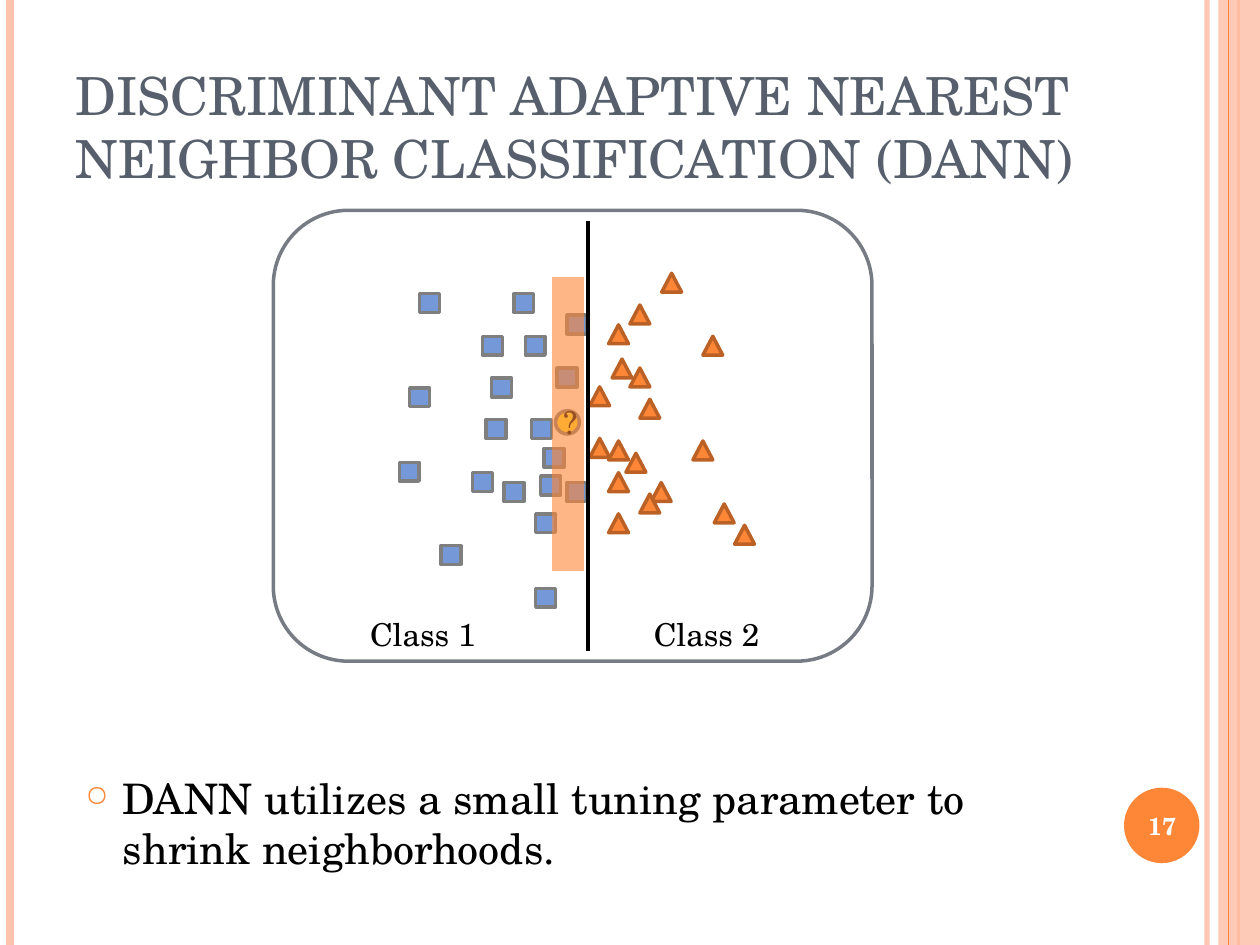
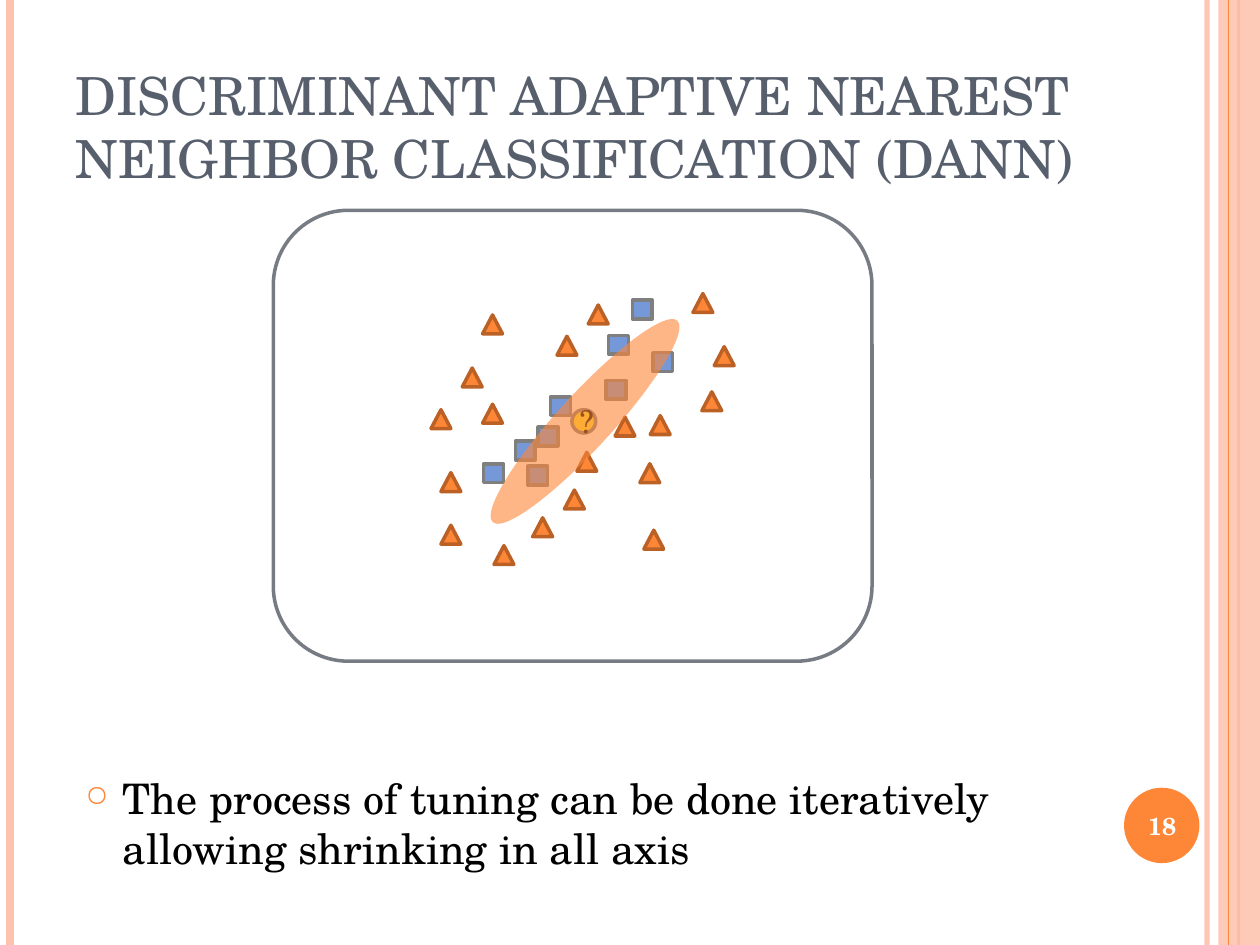
"""Builds two slides on discriminant adaptive nearest neighbor classification."""
from lxml import etree
from pptx import Presentation
from pptx.dml.color import RGBColor
from pptx.enum.shapes import MSO_CONNECTOR, MSO_SHAPE
from pptx.enum.text import MSO_ANCHOR, MSO_AUTO_SIZE, PP_ALIGN
from pptx.oxml.ns import qn
from pptx.util import Cm, Pt

STRAIGHT = MSO_CONNECTOR.STRAIGHT
RECTANGLE, ROUNDED = MSO_SHAPE.RECTANGLE, MSO_SHAPE.ROUNDED_RECTANGLE
ELLIPSE, TRIANGLE = MSO_SHAPE.OVAL, MSO_SHAPE.ISOSCELES_TRIANGLE
TOP, MIDDLE, BOTTOM = MSO_ANCHOR.TOP, MSO_ANCHOR.MIDDLE, MSO_ANCHOR.BOTTOM
LEFT, CENTER = PP_ALIGN.LEFT, PP_ALIGN.CENTER
NO_AUTO_SIZE = MSO_AUTO_SIZE.NONE

ORANGE = RGBColor(0xFE, 0x86, 0x37)
DARK_ORANGE = RGBColor(0xBB, 0x61, 0x26)
PEACH = RGBColor(0xFE, 0xC3, 0xAE)
BLUE = RGBColor(0x75, 0x98, 0xD9)
YELLOW = RGBColor(0xFF, 0xE6, 0x36)
GRAY = RGBColor(0x7F, 0x7F, 0x7F)
PANEL_GRAY = RGBColor(0x77, 0x7C, 0x84)
SLATE = RGBColor(0x57, 0x5F, 0x6D)
BLACK = RGBColor(0, 0, 0)
WHITE = RGBColor(255, 255, 255)

FONT = "TeX Gyre Schola"
WIDTH, HEIGHT = 25.4, 19.05
MARKER_SIZE = (0.4, 0.38)
TITLE = "DISCRIMINANT ADAPTIVE NEAREST NEIGHBOR CLASSIFICATION (DANN)"

SPLIT_SQUARES = [
    (10.8, 11.86), (10.97, 9.04), (11.43, 6.35), (9.73, 6.78), (10.8, 10.36),
    (10.59, 6.78), (10.16, 9.73), (11.43, 9.73), (11.23, 7.42), (9.53, 9.53),
    (10.36, 5.92), (10.9, 9.6), (9.91, 7.62), (9.8, 8.46), (10.72, 8.46),
    (8.46, 5.92), (8.26, 7.82), (8.05, 9.32), (8.89, 11),
]
SPLIT_TRIANGLES = [
    (12.62, 9.14), (12.9, 8.05), (12.7, 7.42), (12.27, 9.53), (13.13, 9.73),
    (12.27, 10.36), (12.27, 6.55), (12.27, 8.89), (12.9, 9.96), (12.7, 6.15),
    (12.34, 7.24), (11.89, 8.84), (11.89, 7.8), (13.34, 5.51), (13.97, 8.89),
    (14.4, 10.16), (14.81, 10.59), (14.17, 6.78),
]
DIAGONAL_SQUARES = [
    (10.85, 8.61), (13.16, 7.11), (9.75, 9.35), (12.27, 6.76), (10.64, 9.4),
    (12.22, 7.67), (12.75, 6.05), (10.39, 8.89), (11.1, 8),
]
SURROUNDING_TRIANGLES = [
    (12.9, 9.35), (11.38, 9.88), (9.32, 7.42), (10.74, 10.44), (14.4, 6.99),
    (14.15, 7.9), (13.11, 8.38), (11.63, 9.12), (12.4, 8.41), (12.98, 10.69),
    (11.23, 6.78), (9.96, 11), (9.73, 6.35), (13.97, 5.92), (11.86, 6.15),
    (9.73, 8.15), (8.69, 8.26), (8.89, 9.53), (8.89, 10.59),
]


class Deck:
    def __init__(self):
        self.presentation = Presentation()
        self.presentation.slide_width = Cm(WIDTH)
        self.presentation.slide_height = Cm(HEIGHT)
        self.slide = None

    def start_slide(self, title, number):
        self.slide = self.presentation.slides.add_slide(self.presentation.slide_layouts[5])
        self.line(24.33, 0, HEIGHT, PEACH, 3, opacity=93)
        self.line(0.2, 0, HEIGHT, PEACH, 4.5)
        self.line(24.97, 0, HEIGHT, ORANGE, 1.5)
        self.shape(RECTANGLE, 24.56, 0, 0.84, HEIGHT, PEACH, opacity=87)
        self.line(24.77, 0, HEIGHT, ORANGE, 0.75)
        self.shape(ELLIPSE, 22.66, 15.88, 1.52, 1.52, ORANGE)
        self.text(str(number), 22.58, 15.93, 1.7, 1.45, 14, WHITE, CENTER, MIDDLE, bold=True)
        placeholder = self.slide.shapes.title
        self.place(placeholder, 1.27, 0.76, 20.75, 3.18)
        self.fill_text(placeholder, title, 30, SLATE, LEFT, BOTTOM)

    def place(self, shape, left, top, width, height):
        shape.left, shape.top = Cm(left), Cm(top)
        shape.width, shape.height = Cm(width), Cm(height)

    def fade(self, shape, opacity):
        for color in shape._element.spPr.iter(qn("a:srgbClr")):
            etree.SubElement(color, qn("a:alpha")).set("val", str(opacity * 1000))

    def line(self, x, top, bottom, color, weight, opacity=100):
        connector = self.slide.shapes.add_connector(STRAIGHT, Cm(x), Cm(top), Cm(x), Cm(bottom))
        connector.line.color.rgb = color
        connector.line.width = Pt(weight)
        etree.SubElement(connector._element.spPr, qn("a:effectLst"))
        if opacity < 100:
            self.fade(connector, opacity)

    def shape(self, kind, left, top, width, height, fill=None, outline=None, opacity=100):
        shape = self.slide.shapes.add_shape(kind, Cm(left), Cm(top), Cm(width), Cm(height))
        shape.shadow.inherit = False
        if fill is None:
            shape.fill.background()
        else:
            shape.fill.solid()
            shape.fill.fore_color.rgb = fill
        if outline is None:
            shape.line.fill.background()
        else:
            shape.line.color.rgb = outline
            shape.line.width = Pt(2)
        if opacity < 100:
            self.fade(shape, opacity)
        return shape

    def fill_text(self, shape, text, size, color, align, anchor, bold=False, wrap=True):
        frame = shape.text_frame
        frame.text = text
        frame.word_wrap = wrap
        frame.auto_size = NO_AUTO_SIZE
        frame.vertical_anchor = anchor
        paragraph = frame.paragraphs[0]
        paragraph.alignment = align
        font = paragraph.runs[0].font
        font.name, font.size, font.bold = FONT, Pt(size), bold
        font.color.rgb = color
        return paragraph

    def text(self, text, left, top, width, height, size, color=BLACK,
             align=LEFT, anchor=TOP, bold=False, wrap=True):
        box = self.slide.shapes.add_textbox(Cm(left), Cm(top), Cm(width), Cm(height))
        return self.fill_text(box, text, size, color, align, anchor, bold, wrap)

    def bullet(self, text):
        paragraph = self.text(text, 1.47, 15.44, 20.12, 3.38, 24)
        paragraph.space_before = Pt(6)
        properties = paragraph._p.get_or_add_pPr()
        properties.set("marL", str(Cm(0.76)))
        properties.set("indent", str(Cm(-0.76)))
        color = etree.SubElement(properties, qn("a:buClr"))
        etree.SubElement(color, qn("a:srgbClr")).set("val", str(ORANGE))
        etree.SubElement(properties, qn("a:buSzPct")).set("val", "70000")
        etree.SubElement(properties, qn("a:buChar")).set("char", "○")

    def scatter(self, squares, triangles, query):
        self.shape(ROUNDED, 5.51, 4.24, 12.07, 9.09, outline=PANEL_GRAY)
        for left, top in squares:
            self.shape(RECTANGLE, left, top, *MARKER_SIZE, BLUE, GRAY)
        for left, top in triangles:
            self.shape(TRIANGLE, left, top, *MARKER_SIZE, ORANGE, DARK_ORANGE)
        circle = self.shape(ELLIPSE, *query, 0.48, 0.47, YELLOW, GRAY)
        self.fill_text(circle, "?", 18, BLACK, CENTER, MIDDLE)

    def neighborhood(self, kind, left, top, width, height, rotation=0):
        area = self.shape(kind, left, top, width, height, ORANGE, opacity=60)
        area.rotation = rotation


def main():
    deck = Deck()

    deck.start_slide(TITLE, 17)
    deck.scatter(SPLIT_SQUARES, SPLIT_TRIANGLES, (11.2, 8.28))
    deck.line(11.85, 4.45, 13.12, BLACK, 2)
    deck.neighborhood(RECTANGLE, 11.13, 5.59, 0.64, 5.92)
    for label, left in (("Class 1", 7.21), ("Class 2", 12.93)):
        deck.text(label, left, 12.27, 2.64, 1.02, 18, wrap=False)
    deck.bullet("DANN utilizes a small tuning parameter to shrink neighborhoods.")

    deck.start_slide(TITLE, 18)
    deck.scatter(DIAGONAL_SQUARES, SURROUNDING_TRIANGLES, (11.53, 8.26))
    deck.neighborhood(ELLIPSE, 9.04, 7.95, 5.51, 1.09, rotation=312.5)
    deck.bullet("The process of tuning can be done iteratively allowing shrinking in all axis")

    deck.presentation.save("out.pptx")


if __name__ == "__main__":
    main()
